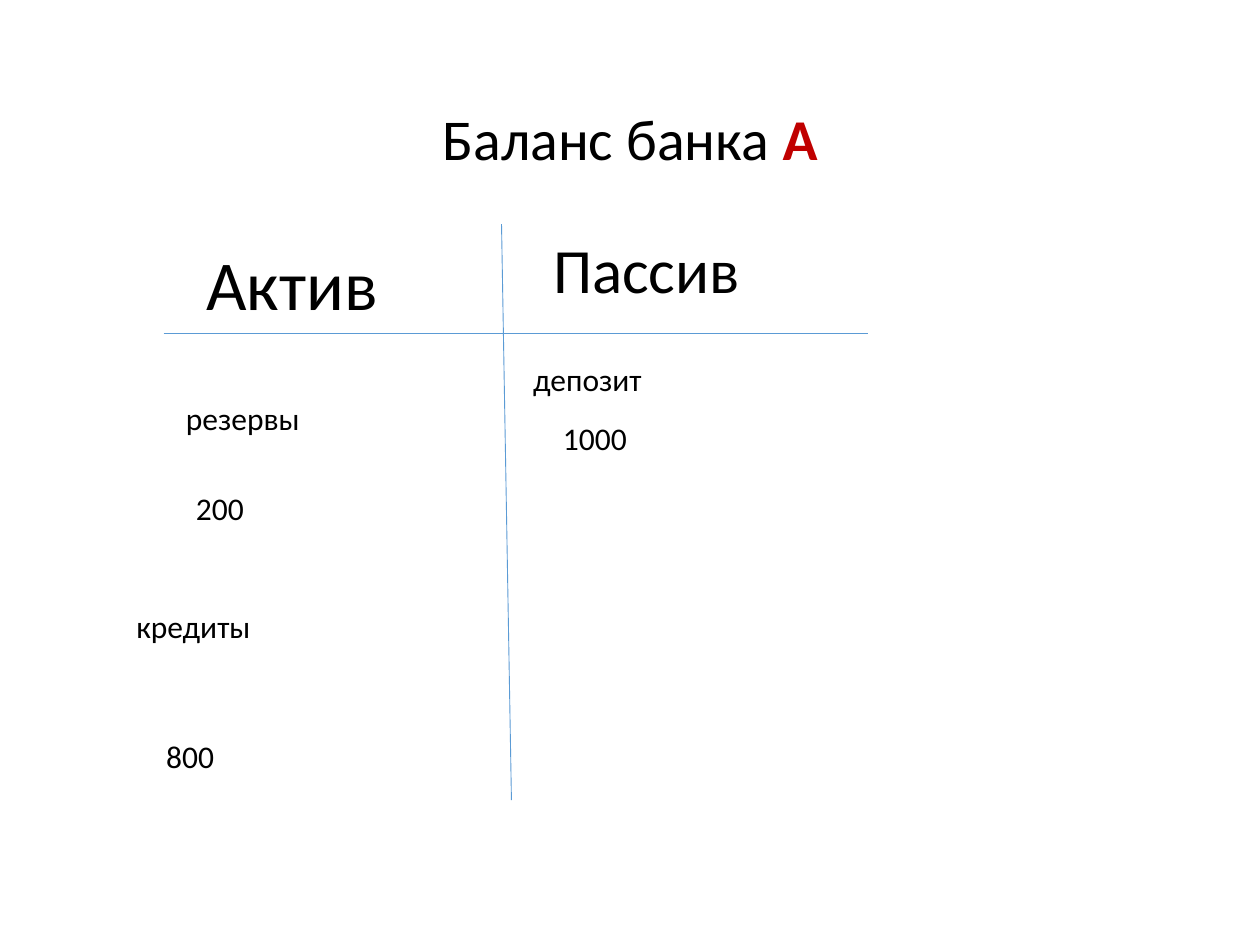
from dataclasses import dataclass

from lxml.etree import SubElement
from pptx import Presentation
from pptx.dml.color import RGBColor as Color
from pptx.enum.shapes import MSO_CONNECTOR as Connector
from pptx.enum.text import MSO_ANCHOR as Anchor, MSO_AUTO_SIZE as AutoSize, PP_ALIGN as Align
from pptx.oxml.ns import qn
from pptx.util import Cm, Pt


@dataclass(frozen=True)
class Theme:
    font: str = "Calibri"
    ink: str = "000000"
    accent: str = "C00000"
    rule: str = "5B9BD5"
    rule_width: float = 0.5
    title: int = 33
    assets: int = 40
    liabilities: int = 36
    entry: int = 18


def apply_format(target, values):
    for name, value in values.items():
        setattr(target, name, value)


class BalanceSheet:
    """Draws the parts of a bank balance on one slide in one theme."""

    def __init__(self, slide, theme):
        self.slide = slide
        self.theme = theme

    def add_run(self, paragraph, text, size, color=None, bold=False):
        run = paragraph.add_run()
        run.text = text
        apply_format(run.font, {"name": self.theme.font, "size": Pt(size), "bold": bold})
        run.font.color.rgb = Color.from_string(color or self.theme.ink)

    def add_box(self, left, top, width, height, frame_format):
        shape = self.slide.shapes.add_textbox(Cm(left), Cm(top), Cm(width), Cm(height))
        apply_format(shape.text_frame, {"word_wrap": True, **frame_format})
        return shape.text_frame.paragraphs[0]

    def add_title(self, text, bank):
        paragraph = self.add_box(1.75, 1.02, 21.9, 3.68, {"vertical_anchor": Anchor.MIDDLE})
        apply_format(paragraph, {"alignment": Align.CENTER, "line_spacing": 0.9})
        self.add_run(paragraph, text, self.theme.title)
        self.add_run(paragraph, bank, self.theme.title, self.theme.accent, bold=True)

    def add_label(self, text, left, top, width, height, size):
        frame_format = {"auto_size": AutoSize.SHAPE_TO_FIT_TEXT}
        self.add_run(self.add_box(left, top, width, height, frame_format), text, size)

    def add_entry(self, text, left, top, width):
        self.add_label(text, left, top, width, 1.02, self.theme.entry)

    def add_rule(self, *ends):
        connector = self.slide.shapes.add_connector(Connector.STRAIGHT, *map(Cm, ends))
        connector.line.color.rgb = Color.from_string(self.theme.rule)
        connector.line.width = Pt(self.theme.rule_width)
        SubElement(connector._element.spPr, qn("a:effectLst"))


def main():
    presentation = Presentation()
    apply_format(presentation, {"slide_width": Cm(25.4), "slide_height": Cm(19.05)})
    theme = Theme()
    sheet = BalanceSheet(presentation.slides.add_slide(presentation.slide_layouts[6]), theme)

    sheet.add_title("Баланс банка ", "А")
    sheet.add_rule(3.3, 6.73, 17.5, 6.73)
    sheet.add_rule(10.11, 4.52, 10.31, 16.13)
    sheet.add_label("Актив", 3.91, 4.72, 4.2, 1.96, theme.assets)
    sheet.add_label("Пассив", 10.9, 4.52, 4.6, 1.8, theme.liabilities)

    entries = [
        ("1000", 11.1, 8.33, 6.4),
        ("депозит", 10.5, 7.14, 7),
        ("резервы", 3.5, 7.92, 6),
        ("200", 3.7, 9.73, 4),
        ("кредиты", 2.5, 12.12, 6.6),
        ("800", 3.1, 14.73, 4.8),
    ]
    for entry in entries:
        sheet.add_entry(*entry)

    presentation.save("out.pptx")


if __name__ == "__main__":
    main()
